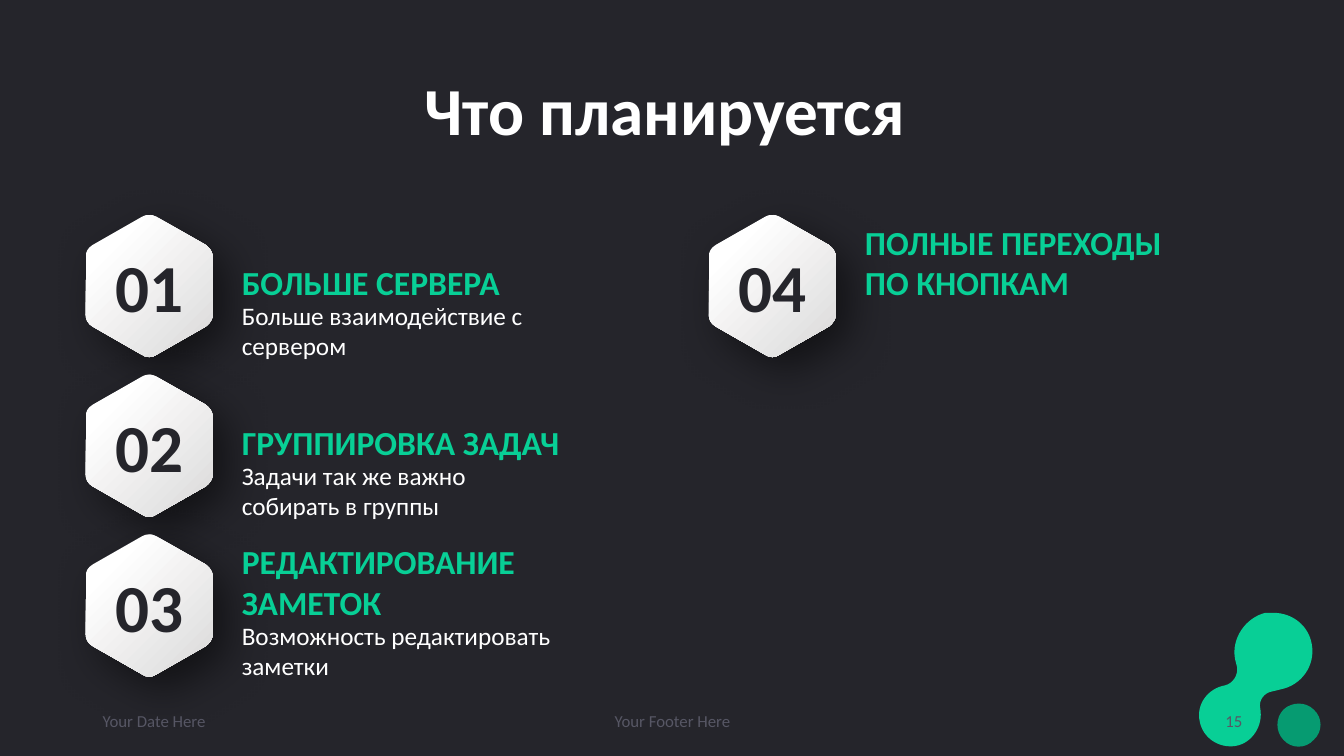
from lxml.etree import SubElement
from pptx import Presentation
from pptx.dml.color import RGBColor
from pptx.enum.text import MSO_ANCHOR as ANCHOR, PP_ALIGN as ALIGN
from pptx.oxml.ns import qn
from pptx.util import Inches, Pt

FONT = "Calibri"
DARK = RGBColor(0x25, 0x25, 0x2B)
WHITE = RGBColor(0xFF, 0xFF, 0xFF)
SILVER = RGBColor(0xDA, 0xD9, 0xD9)
GREEN = RGBColor(0x08, 0xCF, 0x96)
DEEP_GREEN = RGBColor(0x06, 0x9B, 0x71)
GREY = RGBColor(0x57, 0x57, 0x65)

TITLE = "Что планируется "
PLANS = [
    ("БОЛЬШЕ СЕРВЕРА", 0.61, ["Больше взаимодействие с сервером"]),
    ("ГРУППИРОВКА ЗАДАЧ", 0.61, ["Задачи так же важно", "собирать в группы"]),
    ("РЕДАКТИРОВАНИЕ ЗАМЕТОК", 1.01, ["Возможность редактировать заметки"]),
    ("ПОЛНЫЕ ПЕРЕХОДЫ ПО КНОПКАМ", 1.01, []),
]
FOOTERS = [
    ("Your Date Here", 0.92, 3, ALIGN.LEFT),
    ("Your Footer Here", 4.42, 4.5, ALIGN.CENTER),
    ("15", 9.42, 3, ALIGN.RIGHT),
]

ROWS = 3
LEFT, TOP = 0.85, 2.13
COLUMN_STEP, ROW_STEP = 6.18, 1.585
TEXT_OFFSET, TEXT_WIDTH = 1.45, 3.63

HEXAGON_SIZE = (1.26, 1.41)
HEXAGON = [
    (0.63, 0), (0.65, 0, 0.68, 0.01, 0.7, 0.02),
    (1.19, 0.3), (1.23, 0.33, 1.26, 0.37, 1.26, 0.42),
    (1.26, 0.99), (1.26, 1.04, 1.23, 1.08, 1.19, 1.11),
    (0.7, 1.39), (0.66, 1.42, 0.6, 1.42, 0.56, 1.39),
    (0.07, 1.11), (0.02, 1.08, 0, 1.04, 0, 0.99),
    (0, 0.42), (0, 0.37, 0.02, 0.33, 0.07, 0.3),
    (0.56, 0.02), (0.58, 0.01, 0.6, 0, 0.63, 0),
]
BLOB_BOX = (11.86, 6.08, 1.19, 1.36)
BLOB = [
    (1.15, 0.31), (1.19, 0.52, 1.05, 0.72, 0.84, 0.76),
    (0.76, 0.78), (0.68, 0.79, 0.62, 0.87, 0.64, 0.95),
    (0.67, 1.12, 0.56, 1.29, 0.4, 1.32),
    (0.23, 1.35, 0.07, 1.24, 0.04, 1.08),
    (0, 0.91, 0.12, 0.75, 0.29, 0.72),
    (0.37, 0.7, 0.42, 0.62, 0.41, 0.54),
    (0.39, 0.46), (0.35, 0.26, 0.49, 0.05, 0.69, 0),
    (0.72, 0, 0.75, 0, 0.77, 0),
    (0.96, 0, 1.12, 0.13, 1.15, 0.31),
]
DROP_BOX = (12.65, 6.98, 0.47, 0.45)
DROP = [
    (0.38, 0.06), (0.47, 0.14, 0.47, 0.28, 0.38, 0.36),
    (0.3, 0.45, 0.16, 0.45, 0.08, 0.36),
    (0, 0.28, 0, 0.14, 0.08, 0.06),
    (0.12, 0.02, 0.18, 0, 0.23, 0),
    (0.29, 0, 0.34, 0.02, 0.38, 0.06),
]


def add_outline(s, box, outline):
    x, y, width, height = map(Inches, box)
    builder = s.shapes.build_freeform(x, y)
    builder.add_line_segments([(x + width, y + height)])
    sp = builder.convert_to_shape()
    route = next(sp._element.spPr.iter(qn("a:path")))
    for command in list(route):
        route.remove(command)
    for i, segment in enumerate(outline):
        tag = "a:moveTo" if i == 0 else "a:lnTo" if len(segment) == 2 else "a:cubicBezTo"
        command = SubElement(route, qn(tag))
        for px, py in zip(segment[::2], segment[1::2]):
            SubElement(command, qn("a:pt"), x=str(Inches(px)), y=str(Inches(py)))
    SubElement(route, qn("a:close"))
    sp.line.fill.background()
    sp.shadow.inherit = False
    return sp


def write(tf, lines, size, color, bold=False, align=ALIGN.LEFT,
          anchor=ANCHOR.MIDDLE, insets=(0.1, 0.05, 0.1, 0.05)):
    tf.word_wrap = True
    tf.vertical_anchor = anchor
    tf.margin_left, tf.margin_top, tf.margin_right, tf.margin_bottom = map(Inches, insets)
    tf.text = "\n".join(lines)
    for p in tf.paragraphs:
        p.alignment = align
        p.font.name, p.font.size, p.font.bold = FONT, Pt(size), bold
        p.font.color.rgb = color


def add_text(s, box, *args, **kwargs):
    write(s.shapes.add_textbox(*map(Inches, box)).text_frame, *args, **kwargs)


def add_hexagon(s, x, y, number):
    sp = add_outline(s, (x, y, *HEXAGON_SIZE), HEXAGON)
    sp.fill.gradient()
    sp.fill.gradient_angle = 315
    for stop, position, color in zip(sp.fill.gradient_stops, (0.2, 1), (WHITE, SILVER)):
        stop.position = position
        stop.color.rgb = color
    effects = sp._element.spPr.find(qn("a:effectLst"))
    shadow = SubElement(effects, qn("a:outerShdw"), blurRad=str(Pt(30)), dist=str(Pt(14)),
                        dir="2700000", algn="tl", rotWithShape="0")
    black = SubElement(shadow, qn("a:srgbClr"), val="000000")
    SubElement(black, qn("a:alpha"), val="50000")
    write(sp.text_frame, [number], 48, DARK, bold=True, align=ALIGN.CENTER,
          insets=(0.06, 0.03, 0.06, 0.03))


def main():
    prs = Presentation()
    prs.slide_width, prs.slide_height = Inches(13.33), Inches(7.5)
    s = prs.slides.add_slide(prs.slide_layouts[5])
    s.background.fill.solid()
    s.background.fill.fore_color.rgb = DARK

    for box, outline, color in ((BLOB_BOX, BLOB, GREEN), (DROP_BOX, DROP, DEEP_GREEN)):
        sp = add_outline(s, box, outline)
        sp.fill.solid()
        sp.fill.fore_color.rgb = color

    title = s.shapes.title
    title.left, title.top, title.width, title.height = map(Inches, (0.92, 0.4, 11.5, 1.45))
    write(title.text_frame, [TITLE], 48, WHITE, bold=True, align=ALIGN.CENTER)
    title.text_frame.paragraphs[0].line_spacing = 0.9

    for text, x, width, align in FOOTERS:
        add_text(s, (x, 6.95, width, 0.4), [text], 12, GREY, align=align)

    for i, (heading, height, body) in enumerate(PLANS):
        column, row = divmod(i, ROWS)
        x, y = LEFT + column * COLUMN_STEP, TOP + row * ROW_STEP
        text_x = x + TEXT_OFFSET
        add_hexagon(s, x, y, f"{i + 1:02}")
        add_text(s, (text_x, y + 0.87 - height, TEXT_WIDTH, height), [heading], 24, GREEN,
                 bold=True, anchor=ANCHOR.BOTTOM, insets=(0.1, 0.2, 0.1, 0))
        if body:
            add_text(s, (text_x, y + 0.85, TEXT_WIDTH, 0.61), body, 18, WHITE,
                     anchor=ANCHOR.TOP, insets=(0.1, 0, 0.1, 0))

    prs.save("out.pptx")


if __name__ == "__main__":
    main()
